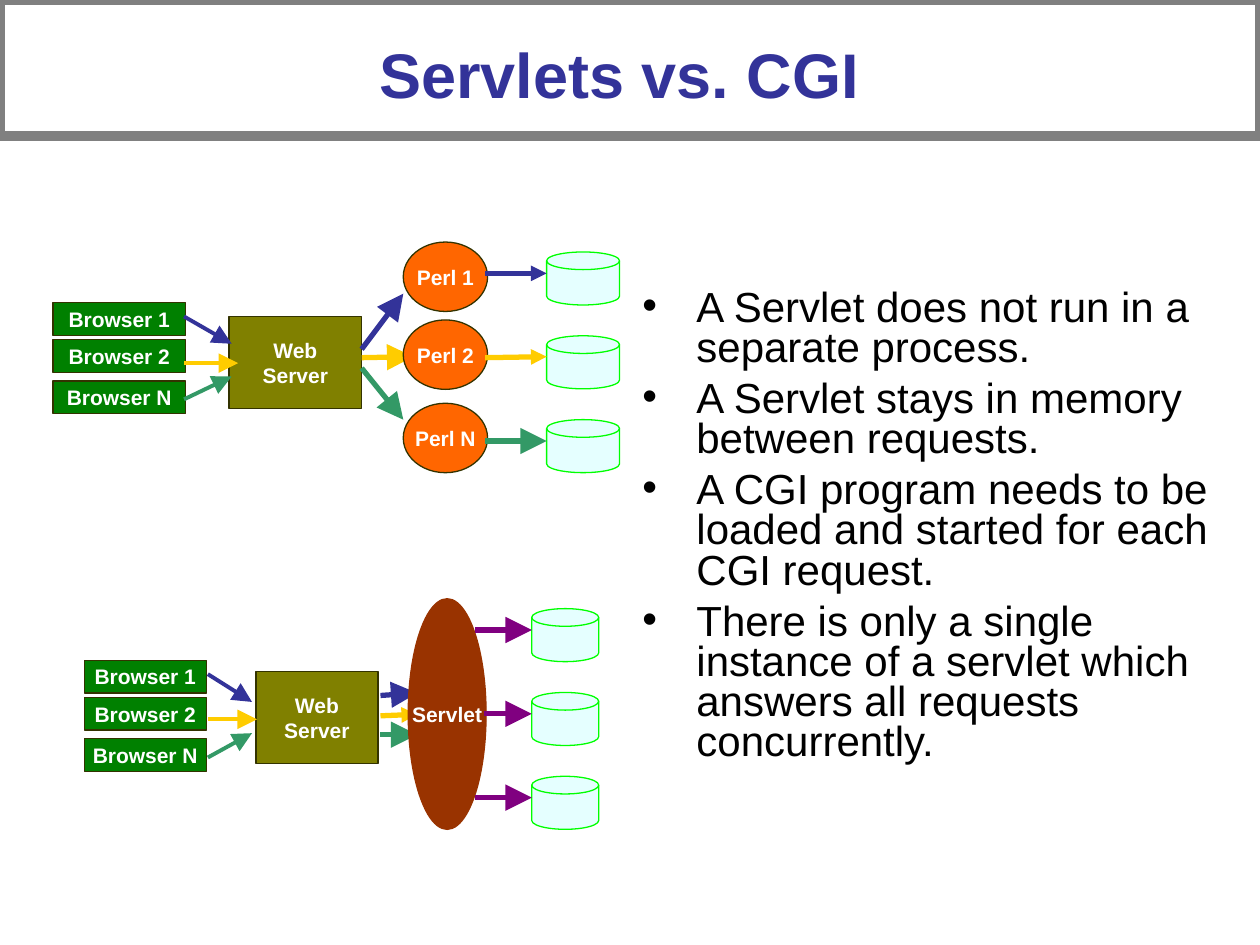
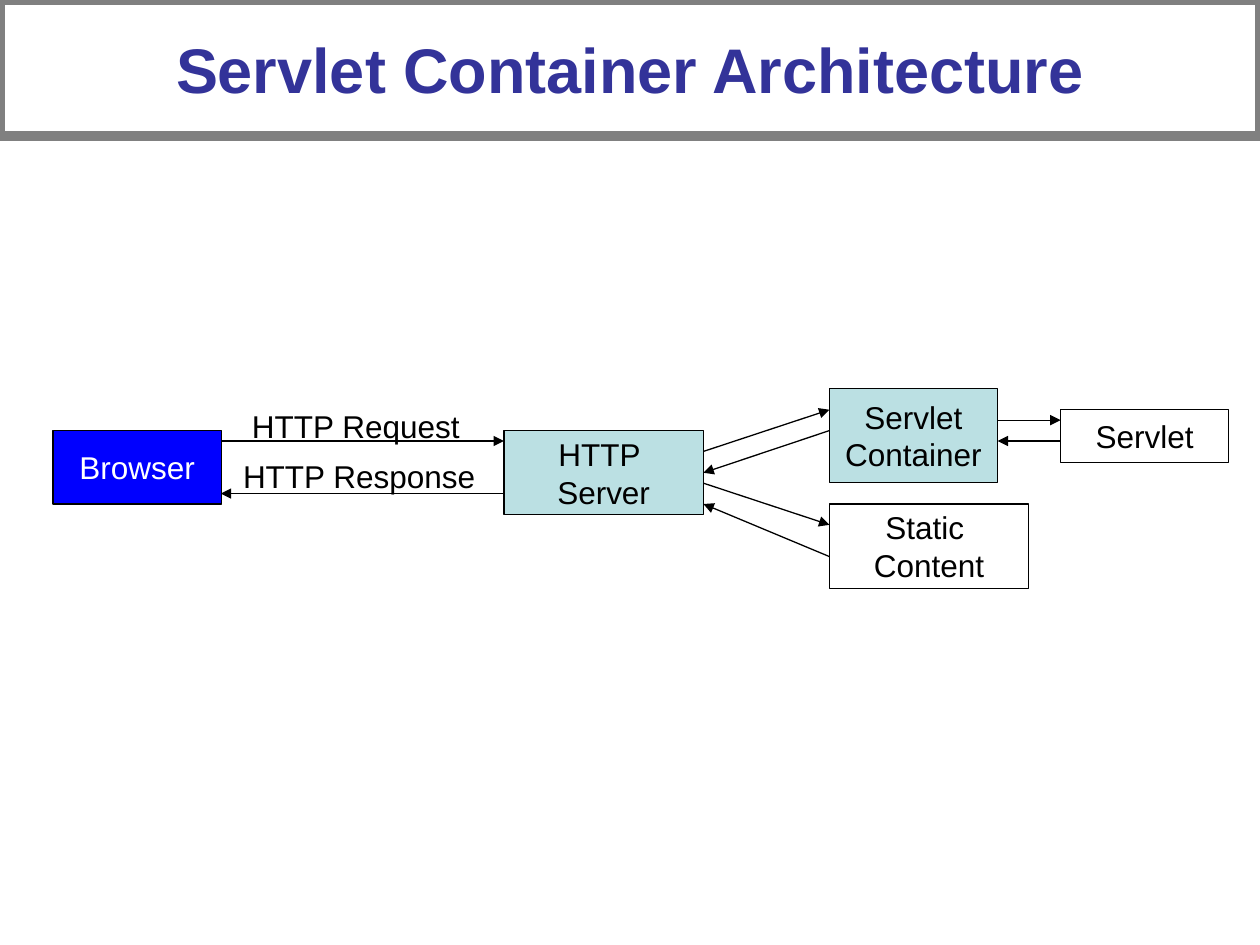
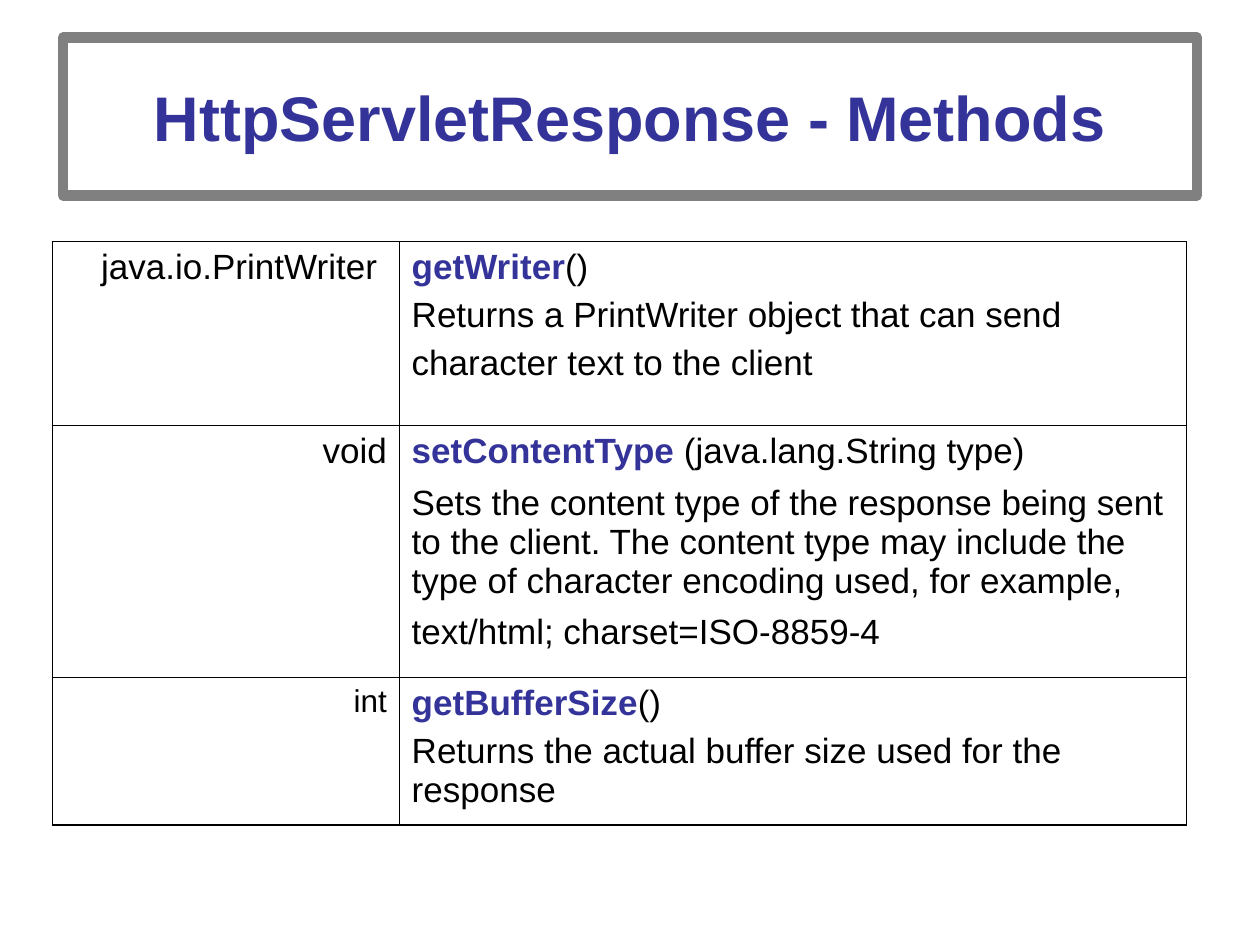
from lxml import etree
from pptx import Presentation
from pptx.dml.color import RGBColor
from pptx.enum.shapes import MSO_CONNECTOR, MSO_SHAPE
from pptx.enum.text import MSO_ANCHOR, PP_ALIGN
from pptx.oxml.ns import qn
from pptx.util import Cm, Pt

RECT, OVAL, DISK = MSO_SHAPE.RECTANGLE, MSO_SHAPE.OVAL, MSO_SHAPE.FLOWCHART_MAGNETIC_DISK
STRAIGHT = MSO_CONNECTOR.STRAIGHT
LEFT, CENTER, RIGHT = PP_ALIGN.LEFT, PP_ALIGN.CENTER, PP_ALIGN.RIGHT
MIDDLE = MSO_ANCHOR.MIDDLE

FONT = "Arial"
COLORS = {
    "black": "000000", "white": "FFFFFF", "gray": "808080", "indigo": "333399",
    "gold": "FFCC00", "teal": "339966", "green": "008000", "olive": "808000",
    "edge": "333300", "orange": "FF6600", "brown": "993300", "purple": "800080",
    "ice": "CCFFFF", "lime": "00FF00", "blue": "0000FF", "pale": "BBE0E3",
}

# ---- Content; all lengths in cm ----
WIDTH, HEIGHT = 25.4, 19.05
TOP_BAND = (0, 0, WIDTH, 2.74)
INSET_BAND = (1.27, 0.76, 22.86, 3.18)

BULLETS = [
    "A Servlet does not run in a separate process.",
    "A Servlet stays in memory between requests.",
    "A CGI program needs to be loaded and started for each CGI request.",
    "There is only a single instance of a servlet which answers all requests concurrently.",
]
BULLETS_BOX = (12.7, 5.72, 12.07, 11)

BROWSERS = ["Browser 1", "Browser 2", "Browser N"]
PERLS = [("Perl 1", 4.88), ("Perl 2", 6.45), ("Perl N", 8.13)]
BROWSER_STEPS = [0, 0.75, 1.58]
DISK_STEP = 1.69
SERVLET_BOX = (8.23, 12.07, 1.57, 4.65)

# Arrows: x1, y1, x2, y2, colour, head size
CGI = {
    "browsers": (1.07, 6.1, 2.67),
    "server": (4.62, 6.38),
    "requests": [(3.71, 6.38, 4.67, 6.93, "indigo", "lg"),
                 (3.71, 7.32, 4.8, 7.32, "gold", "lg"),
                 (3.71, 8.05, 4.67, 7.59, "teal", "lg")],
    "calls": [(7.29, 7.21, 8.33, 7.19, "gold", "lg"),
              (7.29, 7.04, 8.13, 5.92, "indigo", "lg"),
              (7.29, 7.42, 8.13, 8.46, "teal", "lg")],
    "disks": (11.02, 5.08, 1.47),
    "queries": [(9.78, 5.51, 11.02, 5.51, "indigo", "med"),
                (9.78, 7.21, 11.02, 7.19, "gold", "med"),
                (9.78, 8.89, 11.02, 8.89, "teal", "lg")],
}
SERVLET = {
    "browsers": (1.7, 13.31, 2.46),
    "server": (5.16, 13.54),
    "requests": [(4.19, 13.59, 5.08, 14.15, "indigo", "lg"),
                 (4.19, 14.5, 5.18, 14.5, "gold", "lg"),
                 (4.19, 15.27, 5.08, 14.78, "teal", "lg")],
    "calls": [(7.67, 14.43, 8.41, 14.4, "gold", "med"),
              (7.67, 14.02, 8.41, 13.97, "indigo", "lg"),
              (7.67, 14.81, 8.41, 14.81, "teal", "lg")],
    "disks": (10.72, 12.27, 1.35),
    "queries": [(x, 12.7 + i * DISK_STEP, 10.72, 12.7 + i * DISK_STEP, "purple", "lg")
                for i, x in enumerate((9.58, 9.75, 9.58))],
}

# Container parts: lines, box, fill, text colour
PARTS = [
    (["Browser"], (1.07, 8.68, 3.39, 1.48), "blue", "white"),
    (["HTTP ", "Server"], (10.16, 8.68, 4.02, 1.7), "pale", "black"),
    (["Static ", "Content"], (16.72, 10.16, 4.02, 1.7), None, "black"),
    (["Servlet", "Container"], (16.72, 7.83, 3.39, 1.9), "pale", "black"),
    (["Servlet"], (21.38, 8.26, 3.39, 1.06), None, "black"),
]
FLOWS = [
    (4.45, 8.89, 10.16, 8.89), (10.16, 9.95, 4.45, 9.95),
    (14.18, 9.1, 16.72, 8.26), (16.72, 8.68, 14.18, 9.53),
    (14.18, 9.74, 16.72, 10.58), (16.72, 11.22, 14.18, 10.16),
    (20.11, 8.47, 21.38, 8.47), (21.38, 8.89, 20.11, 8.89),
]
FLOW_LABELS = [("HTTP Request", (4.83, 8.08, 4.7, 1.02)),
               ("HTTP Response", (4.65, 9.09, 5.21, 1.02))]

# Methods: type, type size, name, arguments, description, space before, large end
METHODS = [
    ("java.io.PrintWriter ", 20, "getWriter", "()",
     ["Returns a PrintWriter object that can send", "character text to the client"], 5, False),
    ("void", 20, "setContentType ", "(java.lang.String type)",
     ["Sets the content type of the response being sent to the client. The content type may "
      "include the type of character encoding used, for example, text/html; "
      "charset=ISO-8859-4"], 7, True),
    ("int", 18, "getBufferSize", "()",
     ["Returns the actual buffer size used for the response"], 5, False),
]
METHODS_BOX = (1.06, 4.87, 22.86, 11.76)
COL_WIDTHS = [6.99, 15.87]
ROW_HEIGHTS = [3.71, 5.08, 2.97]


# ---- Helpers ----
def rgb(name):
    return RGBColor.from_string(COLORS[name])


def cms(box):
    return [Cm(round(v, 2)) for v in box]


def add_run(p, text, size, color="black", bold=False):
    r = p.add_run()
    r.text = text
    r.font.name, r.font.size, r.font.bold = FONT, Pt(size), bold
    r.font.color.rgb = rgb(color)


def new_paragraph(tf, i, align=LEFT, before=0):
    p = tf.add_paragraph() if i else tf.paragraphs[0]
    p.alignment = align
    if i:
        p.space_before = Pt(before)
    return p


def add_box(s, kind, box, fill, line, lines=(), size=12, color="white", bold=True,
            weight=0.75):
    sp = s.shapes.add_shape(kind, *cms(box))
    sp.shadow.inherit = False
    if fill:
        sp.fill.solid()
        sp.fill.fore_color.rgb = rgb(fill)
    else:
        sp.fill.background()
    sp.line.color.rgb, sp.line.width = rgb(line), Pt(weight)
    tf = sp.text_frame
    tf.word_wrap, tf.vertical_anchor = False, MIDDLE
    for i, text in enumerate(lines):
        add_run(new_paragraph(tf, i, CENTER), text, size, color, bold)
    return sp


def add_arrow(s, x1, y1, x2, y2, color="black", head="med", weight=0.75):
    c = s.shapes.add_connector(STRAIGHT, *cms((x1, y1, x2, y2)))
    c.line.color.rgb, c.line.width = rgb(color), Pt(weight)
    ln = c.line._get_or_add_ln()
    etree.SubElement(ln, qn("a:tailEnd"), type="triangle", w=head, len=head)
    etree.SubElement(c._element.spPr, qn("a:effectLst"))


def add_title(s, text, box=TOP_BAND):
    sp = add_box(s, RECT, box, None, "gray", [text], 36, "indigo", weight=6)
    sp.text_frame.word_wrap = True
    return sp.text_frame.paragraphs[0]


def add_disk(s, box):
    sp = add_box(s, DISK, box, "ice", "lime")
    clr = sp._element.spPr.find(qn("a:solidFill"))[0]
    etree.SubElement(clr, qn("a:alpha"), val="50000")


def add_bullets(s, items, box):
    tf = s.shapes.add_textbox(*cms(box)).text_frame
    tf.word_wrap = True
    for i, text in enumerate(items):
        p = new_paragraph(tf, i, before=6)
        p.line_spacing = 0.8
        pPr = p._p.get_or_add_pPr()
        pPr.set("marL", str(Cm(1.09)))
        pPr.set("indent", str(-Cm(1.09)))
        etree.SubElement(pPr, qn("a:buFont"), typeface=FONT)
        etree.SubElement(pPr, qn("a:buChar"), char="•")
        add_run(p, text, 24)


def add_front(s, d):
    """Browsers, web server and the arrows into and out of the server."""
    x, y, w = d["browsers"]
    for name, dy in zip(BROWSERS, BROWSER_STEPS):
        add_box(s, RECT, (x, y + dy, w, 0.66), "green", "edge", [name])
    add_box(s, RECT, (*d["server"], w, 1.85), "olive", "edge", ["Web", "Server"])
    for a in d["requests"]:
        add_arrow(s, *a, weight=2.25)
    for a in d["calls"]:
        add_arrow(s, *a, weight=3)


def add_storage(s, d):
    x, y, w = d["disks"]
    for i in range(3):
        add_disk(s, (x, y + i * DISK_STEP, w, 1.07))
    for a in d["queries"]:
        add_arrow(s, *a, weight=3)


def set_borders(cell, widths):
    tcPr = cell._tc.get_or_add_tcPr()
    for i, (side, width) in enumerate(widths.items()):
        ln = etree.Element(qn("a:ln" + side), w=str(Pt(width)))
        fill = etree.SubElement(ln, qn("a:solidFill"))
        etree.SubElement(fill, qn("a:srgbClr"), val=COLORS["black"])
        tcPr.insert(i, ln)


# ---- Slides ----
def build_comparison(s):
    add_run(add_title(s, "Servlets vs. CGI"), " ", 44)
    add_bullets(s, BULLETS, BULLETS_BOX)
    add_front(s, CGI)
    for name, y in PERLS:
        add_box(s, OVAL, (8.13, y, 1.7, 1.4), "orange", "edge", [name])
    add_storage(s, CGI)
    add_front(s, SERVLET)
    add_box(s, OVAL, SERVLET_BOX, "brown", "brown", ["Servlet"])
    add_storage(s, SERVLET)


def build_architecture(s):
    for lines, box, fill, color in PARTS:
        add_box(s, RECT, box, fill, "black", lines, 18, color, False)
    for flow in FLOWS:
        add_arrow(s, *flow)
    for text, box in FLOW_LABELS:
        tf = s.shapes.add_textbox(*cms(box)).text_frame
        tf.word_wrap = False
        add_run(tf.paragraphs[0], text, 18)
    add_title(s, "Servlet Container Architecture")


def build_methods(s):
    add_title(s, "HttpServletResponse - Methods", INSET_BAND)
    table = s.shapes.add_table(len(METHODS), 2, *cms(METHODS_BOX)).table
    table.first_row = table.horz_banding = False
    for col, w in zip(table.columns, COL_WIDTHS):
        col.width = Cm(w)
    for row, h in zip(table.rows, ROW_HEIGHTS):
        row.height = Cm(h)
    last = len(METHODS) - 1
    for i, (kind, size, name, args, notes, before, large_end) in enumerate(METHODS):
        left, right = table.cell(i, 0), table.cell(i, 1)
        add_run(new_paragraph(left.text_frame, 0, RIGHT), kind, size)
        p = new_paragraph(right.text_frame, 0)
        add_run(p, name, 20, "indigo", True)
        add_run(p, args, 20)
        for text in notes:
            p = new_paragraph(right.text_frame, 1, before=before)
            add_run(p, text, 20)
        if large_end:
            add_run(p, " ", 28)
        for j, cell in enumerate((left, right)):
            cell.fill.background()
            cell.margin_left = cell.margin_right = Cm(0.25)
            cell.margin_top = cell.margin_bottom = Cm(0.13)
            set_borders(cell, {"L": 0.45 if j else 1.08, "R": 1.08 if j else 0.45,
                               "T": 0.45, "B": 1.08 if i == last else 0.45})


def main():
    prs = Presentation()
    prs.slide_width, prs.slide_height = Cm(WIDTH), Cm(HEIGHT)
    for build in (build_comparison, build_architecture, build_methods):
        build(prs.slides.add_slide(prs.slide_layouts[6]))
    prs.save("out.pptx")


if __name__ == "__main__":
    main()
